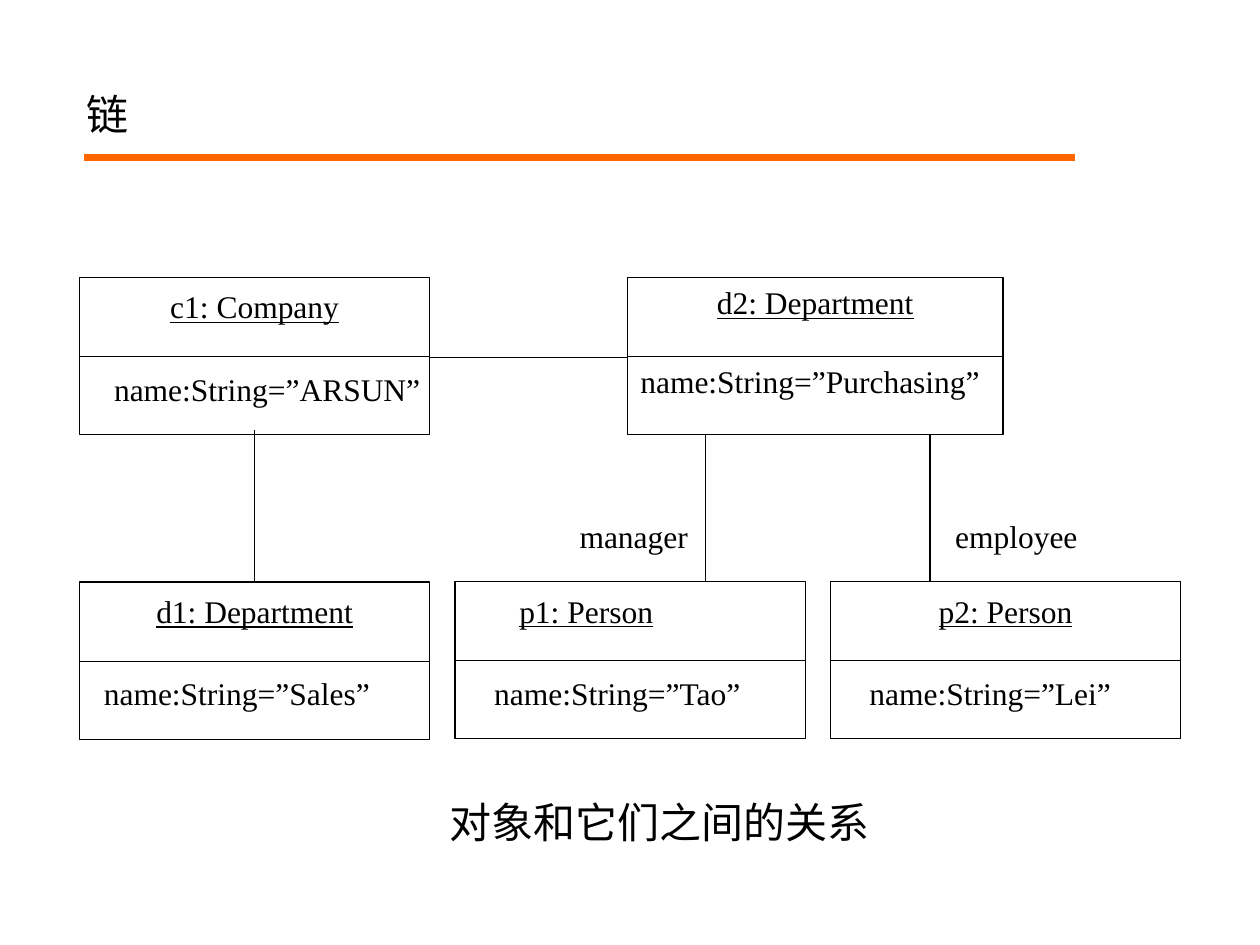
from lxml import etree
from pptx import Presentation
from pptx.dml.color import RGBColor
from pptx.enum import shapes, text
from pptx.oxml.ns import qn
from pptx.util import Pt

BLACK = RGBColor(0, 0, 0)
WHITE = RGBColor(255, 255, 255)
ORANGE = RGBColor(255, 102, 0)
SERIF = "Times New Roman"
SANS = "Noto Sans CJK SC"
LEFT = text.PP_ALIGN.LEFT
CENTER = text.PP_ALIGN.CENTER

BOX_WIDTH = 200.2
BOX_HEIGHT = 90
DIVIDER_OFFSET = 45.4
COLUMNS = [45.4 + index * 214.55 for index in range(3)]
TOP_ROW, BOTTOM_ROW = 158.4, 332.2
LINK_TOP = 245.5


def write(shape, content, size=18, font=SERIF, align=LEFT, underline=False,
          anchor=text.MSO_ANCHOR.TOP, margins=(0, 0, 0, 0)):
    """Put one formatted run into a shape; margins are left, top, right, bottom."""
    frame = shape.text_frame
    frame.word_wrap = True
    frame.auto_size = text.MSO_AUTO_SIZE.NONE
    frame.vertical_anchor = anchor
    frame.margin_left, frame.margin_top, frame.margin_right, frame.margin_bottom = map(Pt, margins)
    paragraph = frame.paragraphs[0]
    paragraph.alignment = align
    run = paragraph.add_run()
    run.text = content
    run.font.name = font
    run.font.size = Pt(size)
    run.font.underline = underline
    run.font.color.rgb = BLACK


def add_line(slide, x1, y1, x2, y2, color=BLACK, width=0.75):
    line = slide.shapes.add_connector(
        shapes.MSO_CONNECTOR.STRAIGHT, Pt(x1), Pt(y1), Pt(x2), Pt(y2))
    line.line.color.rgb = color
    line.line.width = Pt(width)
    etree.SubElement(line._element.spPr, qn("a:effectLst"))


def add_label(slide, content, left, top, width, height=37.4, **style):
    label = slide.shapes.add_textbox(Pt(left), Pt(top), Pt(width), Pt(height))
    write(label, content, **style)


def add_object(slide, name, left, top, width=BOX_WIDTH, inset_top=5.8, inset_right=7.2):
    """Draw an object box with its underlined name and the divider below it."""
    box = slide.shapes.add_shape(
        shapes.MSO_SHAPE.RECTANGLE, Pt(left), Pt(top), Pt(width), Pt(BOX_HEIGHT))
    box.shadow.inherit = False
    box.fill.solid()
    box.fill.fore_color.rgb = WHITE
    box.line.color.rgb = BLACK
    box.line.width = Pt(0.75)
    write(box, name, align=CENTER, underline=True,
          margins=(7.2, inset_top, inset_right, 3.6))
    add_line(slide, left, top + DIVIDER_OFFSET, left + width, top + DIVIDER_OFFSET)


def add_title(slide, content):
    title = slide.shapes.title
    title.left, title.top, title.width, title.height = Pt(42.5), Pt(-2.2), Pt(630), Pt(85)
    write(title, content, size=24, anchor=text.MSO_ANCHOR.BOTTOM,
          margins=(7.2, 3.6, 7.2, 3.6))
    add_line(slide, 48.2, 90, 614.2, 90, ORANGE, 4)


def main():
    presentation = Presentation()
    presentation.slide_width, presentation.slide_height = Pt(720), Pt(540)
    slide = presentation.slides.add_slide(presentation.slide_layouts[5])
    add_title(slide, "链")

    # Links between objects; the department box covers the upper ends of its own
    add_object(slide, "c1: Company", COLUMNS[0], TOP_ROW)
    for x in (145.5, 403, 531.5):
        add_line(slide, x, LINK_TOP, x, BOTTOM_ROW)
    add_line(slide, COLUMNS[0] + BOX_WIDTH, 204.4, 360, 204.4)

    # Remaining object boxes
    add_object(slide, "d2: Department", 358.6, TOP_ROW, width=214.5, inset_top=3.6)
    add_object(slide, "d1: Department", COLUMNS[0], BOTTOM_ROW + 0.4)
    add_object(slide, "p1: Person", COLUMNS[1], BOTTOM_ROW, inset_right=57.2)
    add_object(slide, "p2: Person", COLUMNS[2], BOTTOM_ROW)

    # Attribute values
    for value, left, top, width in (
        ("ARSUN", 59.8, 211.7, 185.8),
        ("Purchasing", 358.6, 206.6, 208.8),
        ("Sales", 56.9, 385.2, 157),
        ("Tao", 274.3, 385.2, 157),
        ("Lei", 487.4, 385.2, 157),
    ):
        add_label(slide, f"name:String=”{value}”", left, top, width, align=CENTER)

    # Link roles and caption
    for role, left in (("manager", 331.2), ("employee", 545.8)):
        add_label(slide, role, left, 295.2, 71.3, 24.5)
    add_label(slide, "对象和它们之间的关系", 209.4, 451.4, 334.8, 36,
              size=24, font=SANS, align=CENTER, margins=(7.2, 3.6, 7.2, 3.6))

    presentation.save("out.pptx")


if __name__ == "__main__":
    main()
